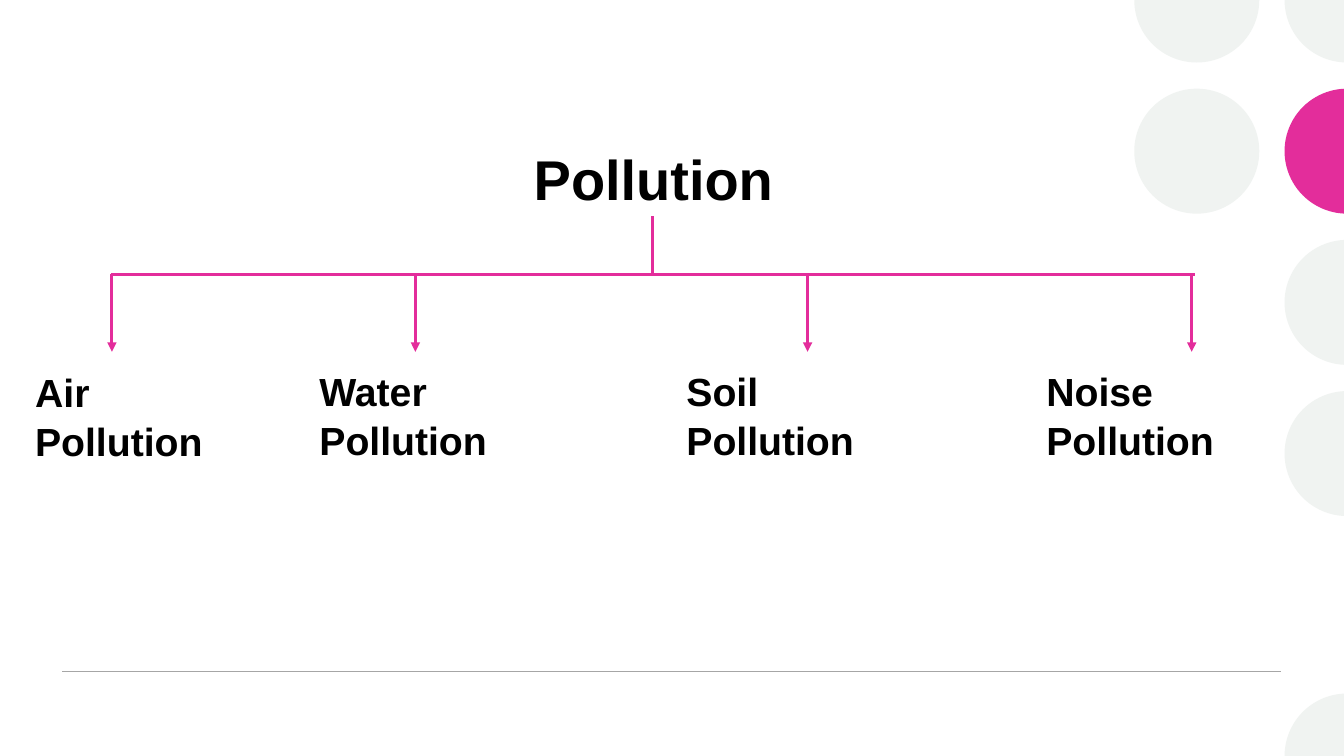
import math
from lxml import etree
from pptx import Presentation
from pptx import util as u
from pptx.dml.color import RGBColor
from pptx.enum import shapes, text
from pptx.oxml.ns import qn

# Content
WIDTH, HEIGHT = 13.33, 7.5
PINK, PALE, GREY, BLACK = "E32D9B", "F0F3F1", "A6A6A6", "000000"
TITLE = "Pollution"
BRANCHES = [  # label, arrow x, label left, label top, label width
    ("Air Pollution", 1.11, 0.25, 3.58, 2.42),
    ("Water Pollution", 4.12, 3.07, 3.57, 2.94),
    ("Soil Pollution", 8.01, 6.71, 3.57, 2.61),
    ("Noise Pollution", 11.82, 10.28, 3.57, 2.89),
]
STEM_X, STEM_TOP, BAR_Y, ARROW_END = 6.47, 2.14, 2.72, 3.49

# Dots on a grid; cut dots keep the arc between two angles, clockwise from the right
COLUMN_X, ROW_PITCH, RADIUS = (11.87, 13.36), 1.5, 0.62
EDGE = math.degrees(math.acos((WIDTH - COLUMN_X[1]) / RADIUS))
WHOLE_DOT = (0, 1, PALE)  # column, row, fill
CUT_DOTS = [  # column, row, fill, first angle, last angle, slide corner
    (0, 0, PALE, 0, 180, None),
    (1, 0, PALE, EDGE, 180, (WIDTH, 0)),
    (1, 1, PINK, EDGE, 360 - EDGE, None),
    (1, 2, PALE, EDGE, 360 - EDGE, None),
    (1, 3, PALE, EDGE, 360 - EDGE, None),
    (1, 5, PALE, 180, 360 - EDGE, (WIDTH, HEIGHT)),
]

deck = Presentation()
deck.slide_width, deck.slide_height = u.Inches(WIDTH), u.Inches(HEIGHT)
page = deck.slides.add_slide(deck.slide_layouts[6])


def colour(value):
    return RGBColor.from_string(value)


def paint(dot, fill):
    dot.shadow.inherit = False
    dot.fill.solid()
    dot.fill.fore_color.rgb = colour(fill)
    dot.line.fill.background()


def add_whole_dot(column, row, fill):
    left, top = COLUMN_X[column] - RADIUS, row * ROW_PITCH - RADIUS
    paint(page.shapes.add_shape(shapes.MSO_SHAPE.OVAL, *map(
        u.Inches, (left, top, 2 * RADIUS, 2 * RADIUS))), fill)


def add_cut_dot(column, row, fill, first, last, corner):
    points = []
    for degree in (first, (first + last) / 2, last):
        angle = math.radians(degree)
        points.append((COLUMN_X[column] + RADIUS * math.cos(angle),
                       row * ROW_PITCH + RADIUS * math.sin(angle)))
    if corner:
        points.append(corner)
    points = [(u.Inches(x), u.Inches(y)) for x, y in points]
    outline = page.shapes.build_freeform(*points[0])
    outline.add_line_segments(points[1:], close=True)
    dot = outline.convert_to_shape()
    # Swap the two chords for one true arc
    chords = list(dot._element.iter(qn("a:lnTo")))[:2]
    radius = str(u.Inches(RADIUS))
    arc = etree.Element(qn("a:arcTo"), wR=radius, hR=radius,
                        stAng=str(round(first * 60000)),
                        swAng=str(round((last - first) * 60000)))
    chords[0].addprevious(arc)
    for chord in chords:
        chord.getparent().remove(chord)
    paint(dot, fill)


def add_line(x1, y1, x2, y2, stroke=PINK, weight=2.25, arrow=False):
    line = page.shapes.add_connector(
        shapes.MSO_CONNECTOR.STRAIGHT, *map(u.Inches, (x1, y1, x2, y2)))
    line.line.color.rgb = colour(stroke)
    line.line.width = u.Pt(weight)
    if arrow:
        stroke_xml = line._element.spPr.find(qn("a:ln"))
        etree.SubElement(stroke_xml, qn("a:tailEnd"), type="triangle")
    etree.SubElement(line._element.spPr, qn("a:effectLst"))


def add_text(words, left, top, width, height, size=28, spacing=1.05,
             align=text.PP_ALIGN.LEFT):
    box = page.shapes.add_textbox(*map(u.Inches, (left, top, width, height)))
    box.text_frame.word_wrap = True
    para = box.text_frame.paragraphs[0]
    para.alignment, para.line_spacing = align, spacing
    span = para.add_run()
    span.text = words
    span.font.name, span.font.size, span.font.bold = "Arial", u.Pt(size), True
    span.font.color.rgb = colour(BLACK)


# Background dots and footer rule
add_whole_dot(*WHOLE_DOT)
for cut_dot in CUT_DOTS:
    add_cut_dot(*cut_dot)
add_line(0.62, 6.66, 12.71, 6.66, stroke=GREY, weight=1)

# Title
add_text(TITLE, 0.62, 1.32, 11.72, 1.39, size=40, spacing=1.1,
         align=text.PP_ALIGN.CENTER)

# Tree: bar, stem, then one arrow and label per branch
add_line(1.1, BAR_Y, 11.85, BAR_Y)
add_line(STEM_X, BAR_Y, STEM_X, STEM_TOP)
for label, arrow_x, left, top, width in BRANCHES:
    add_line(arrow_x, BAR_Y, arrow_x, ARROW_END, arrow=True)
    add_text(label, left, top, width, 0.57)

deck.save("out.pptx")
